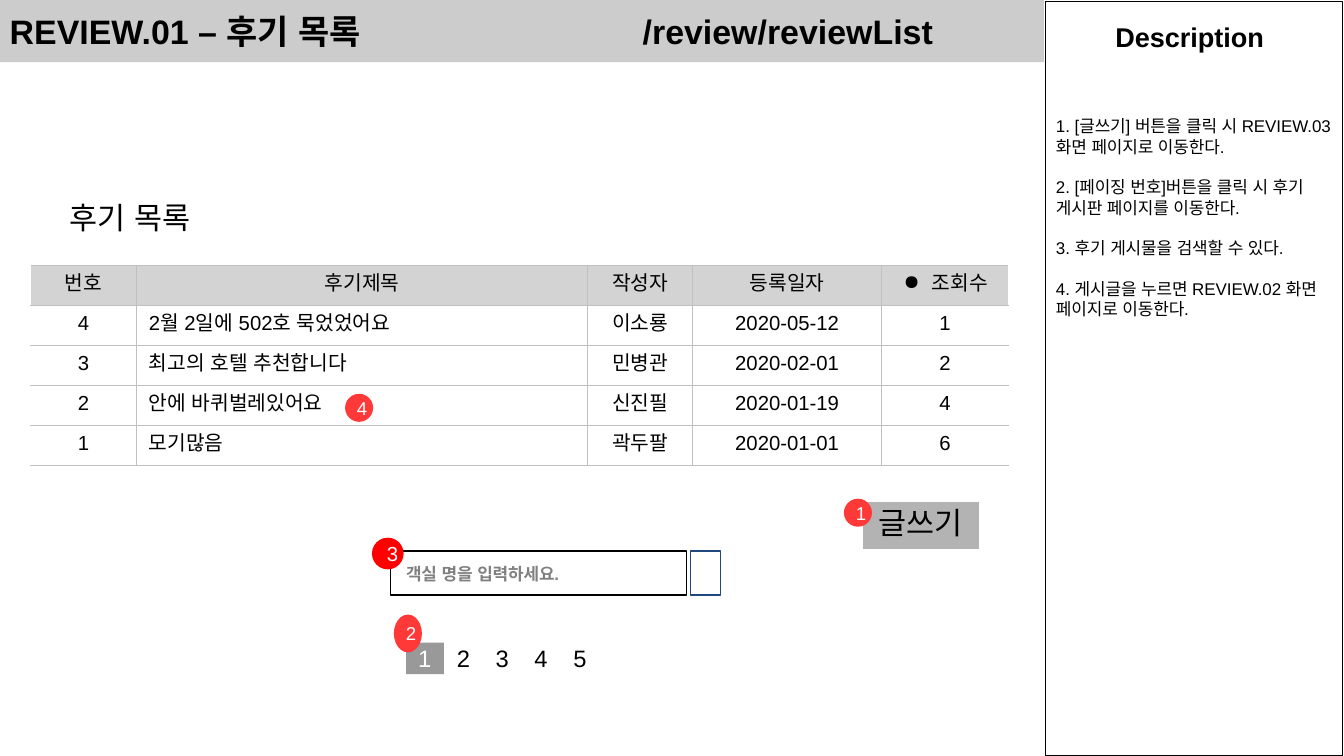
from dataclasses import dataclass

from lxml import etree
from pptx import Presentation
from pptx import util as u
from pptx.dml.color import RGBColor
from pptx.enum import shapes, text
from pptx.oxml.ns import qn

COLUMNS, ROWS = 110.2, 62  # square grid cells, ten to the inch
CENTER, LEFT = text.PP_ALIGN.CENTER, text.PP_ALIGN.LEFT
TOP, MIDDLE = text.MSO_ANCHOR.TOP, text.MSO_ANCHOR.MIDDLE
RECT, OVAL = shapes.MSO_SHAPE.RECTANGLE, shapes.MSO_SHAPE.OVAL


@dataclass(frozen=True)
class Theme:
    font: str = "Arial"
    ink: str = "000000"
    paper: str = "FFFFFF"
    banner: str = "CCCCCC"
    table_head: str = "D3D3D3"
    rule: str = "C0C0C0"
    button: str = "B3B3B3"
    current_page: str = "999999"
    hint: str = "808080"
    icon_line: str = "1F497D"
    marker: str = "FF3838"
    strong_marker: str = "FF0000"
    title: int = 20
    heading: int = 18
    panel_title: int = 16
    page: int = 14
    cell: int = 12
    marker_text: int = 11
    note: int = 10
    line: float = 0.75


class Wireframe:
    def __init__(self, deck, theme):
        self.theme = theme
        self.unit_x = deck.slide_width / COLUMNS
        self.unit_y = deck.slide_height / ROWS
        self.slide = deck.slides.add_slide(deck.slide_layouts[6])

    def place(self, left, top, width, height):
        """Turn grid cells into slide lengths."""
        return (round(left * self.unit_x), round(top * self.unit_y),
                round(width * self.unit_x), round(height * self.unit_y))

    def add_words(self, paragraph, words, size, color=None, bold=False, align=LEFT):
        paragraph.alignment = align
        run = paragraph.add_run()
        run.text = words
        run.font.name = self.theme.font
        run.font.size = u.Pt(size)
        run.font.bold = bold
        run.font.color.rgb = RGBColor.from_string(color or self.theme.ink)
        etree.SubElement(run.font._element, qn("a:ea"), typeface=self.theme.font)

    def frame(self, holder, anchor, insets):
        """Set wrapping, anchor and insets (left, top, right, bottom, in inches)."""
        body = holder.text_frame
        body.word_wrap = True
        body.vertical_anchor = anchor
        (body.margin_left, body.margin_top,
         body.margin_right, body.margin_bottom) = map(u.Inches, insets)
        return body

    def shape(self, kind, area, fill=None, line=None, anchor=MIDDLE,
              insets=(0.1, 0.05, 0.1, 0.05)):
        part = self.slide.shapes.add_shape(kind, *self.place(*area))
        part.shadow.inherit = False
        if fill:
            part.fill.solid()
            part.fill.fore_color.rgb = RGBColor.from_string(fill)
        else:
            part.fill.background()
        if line:
            part.line.color.rgb = RGBColor.from_string(line)
            part.line.width = u.Pt(self.theme.line)
        else:
            part.line.fill.background()
        return self.frame(part, anchor, insets)

    def label(self, area, paragraphs, size, gap=0, bold=False, align=LEFT,
              anchor=TOP, insets=(0.1, 0.05, 0.1, 0.05)):
        box = self.slide.shapes.add_textbox(*self.place(*area))
        body = self.frame(box, anchor, insets)
        for index, words in enumerate(paragraphs):
            paragraph = body.add_paragraph() if index else body.paragraphs[0]
            if index and gap:
                paragraph.space_before = u.Pt(gap)
            self.add_words(paragraph, words, size, bold=bold, align=align)

    def marker(self, area, number, size=None, fill=None):
        body = self.shape(OVAL, area, fill or self.theme.marker)
        self.add_words(body.paragraphs[0], number, size or self.theme.marker_text,
                       self.theme.paper, align=CENTER)

    def table(self, left, top, widths, row_height, row_count):
        area = self.place(left, top, sum(widths), row_height * row_count)
        grid = self.slide.shapes.add_table(row_count, len(widths), *area).table
        grid.first_row = grid.horz_banding = False
        for column, width in zip(grid.columns, widths):
            column.width = round(width * self.unit_x)
        return grid

    def cell(self, cell, words, size, fill, border, sides, align=CENTER):
        cell.fill.solid()
        cell.fill.fore_color.rgb = RGBColor.from_string(fill)
        properties = cell._tc.get_or_add_tcPr()
        for index, side in enumerate(sides):
            edge = etree.Element(qn(f"a:ln{side}"), w=str(u.Pt(self.theme.line)))
            paint = etree.SubElement(edge, qn("a:solidFill"))
            etree.SubElement(paint, qn("a:srgbClr"), val=border)
            properties.insert(index, edge)
        self.add_words(cell.text_frame.paragraphs[0], words, size, align=align)

    def bullet(self, paragraph):
        properties = paragraph._p.get_or_add_pPr()
        properties.set("marL", str(u.Inches(0.24)))
        properties.set("indent", str(u.Inches(-0.23)))
        color = etree.SubElement(properties, qn("a:buClr"))
        etree.SubElement(color, qn("a:srgbClr"), val=self.theme.ink)
        etree.SubElement(properties, qn("a:buChar"), char="●")

    def tab_stop(self, paragraph, inches):
        stops = etree.SubElement(paragraph._p.get_or_add_pPr(), qn("a:tabLst"))
        etree.SubElement(stops, qn("a:tab"), pos=str(u.Inches(inches)), algn="l")


REVIEWS = [
    ("번호", "후기제목", "작성자", "등록일자", "조회수"),
    ("4", "2월 2일에 502호 묵었었어요", "이소룡", "2020-05-12", "1"),
    ("3", "최고의 호텔 추천합니다", "민병관", "2020-02-01", "2"),
    ("2", "안에 바퀴벌레있어요", "신진필", "2020-01-19", "4"),
    ("1", "모기많음", "곽두팔", "2020-01-01", "6"),
]
NOTES = [
    "1. [글쓰기] 버튼을 클릭 시 REVIEW.03 화면 페이지로 이동한다.",
    "2. [페이징 번호]버튼을 클릭 시 후기 게시판 페이지를 이동한다.",
    "3. 후기 게시물을 검색할 수 있다.",
    "4. 게시글을 누르면 REVIEW.02 화면 페이지로 이동한다.",
]


def main():
    deck = Presentation()
    deck.slide_width, deck.slide_height = u.Inches(11.02), u.Inches(6.2)
    theme = Theme()
    page = Wireframe(deck, theme)

    page.shape(RECT, (85.7, 0.1, 24.4, 61.9), theme.paper, theme.ink)
    page.label((85.6, 9, 24.6, 39.8), NOTES, theme.note, gap=12)
    page.label((86.1, 1.2, 22.9, 3.9), ["Description"], theme.panel_title,
               bold=True, align=CENTER)

    banner = page.shape(RECT, (0, 0, 85.6, 5.1), theme.banner,
                        insets=(0.08, 0, 0, 0)).paragraphs[0]
    page.tab_stop(banner, 5.19)
    for words in ("REVIEW.01 – 후기 목록", "\t/review/reviewList"):
        page.add_words(banner, words, theme.title, bold=True)

    widths = (8.7, 37, 8.6, 15.5, 10.4)
    reviews = page.table(2.5, 21.8, widths, 3.28, len(REVIEWS))
    last = len(widths) - 1
    for row, review in enumerate(REVIEWS):
        for column, words in enumerate(review):
            sides = ("L" if column else "") + ("R" if column < last else "") + "TB"
            page.cell(reviews.cell(row, column), words, theme.cell,
                      theme.paper if row else theme.table_head, theme.rule, sides,
                      LEFT if row and column == 1 else CENTER)
    page.bullet(reviews.cell(0, last).text_frame.paragraphs[0])

    post_button = page.table(70.7, 41.1, (9.6,), 4, 1)
    page.cell(post_button.cell(0, 0), "글쓰기", theme.heading, theme.button,
              theme.paper, "LRTB")
    page.marker((69.2, 40.9, 2.3, 2.3), "1")
    page.marker((28.3, 32.3, 2.3, 2.3), "4")

    even = (0.1, 0.1, 0.1, 0.1)
    current = page.shape(RECT, (33.3, 52.7, 3.1, 2.6), theme.current_page, insets=even)
    page.add_words(current.paragraphs[0], "1", theme.page, theme.paper)
    for number in range(2, 6):
        page.label((33.3 + 3.18 * (number - 1), 52.7, 3.1, 2.6), [str(number)],
                   theme.page, anchor=MIDDLE, insets=even)
    page.marker((32.3, 50.4, 2.3, 3.1), "2")

    page.label((2.4, 15.8, 16.5, 3.8), ["후기 목록"], theme.heading, align=CENTER)

    page.shape(RECT, (56.6, 45.2, 2.5, 3.6), line=theme.icon_line)
    search = page.shape(RECT, (32, 45.2, 24.3, 3.6), line=theme.ink, anchor=TOP,
                        insets=(0.13, 0.1, 0.1, 0.1))
    page.add_words(search.paragraphs[0], "객실 명을 입력하세요.", theme.note,
                   theme.hint, bold=True)
    page.marker((30.5, 44.1, 2.6, 2.6), "3", theme.cell, theme.strong_marker)

    deck.save("out.pptx")


if __name__ == "__main__":
    main()
